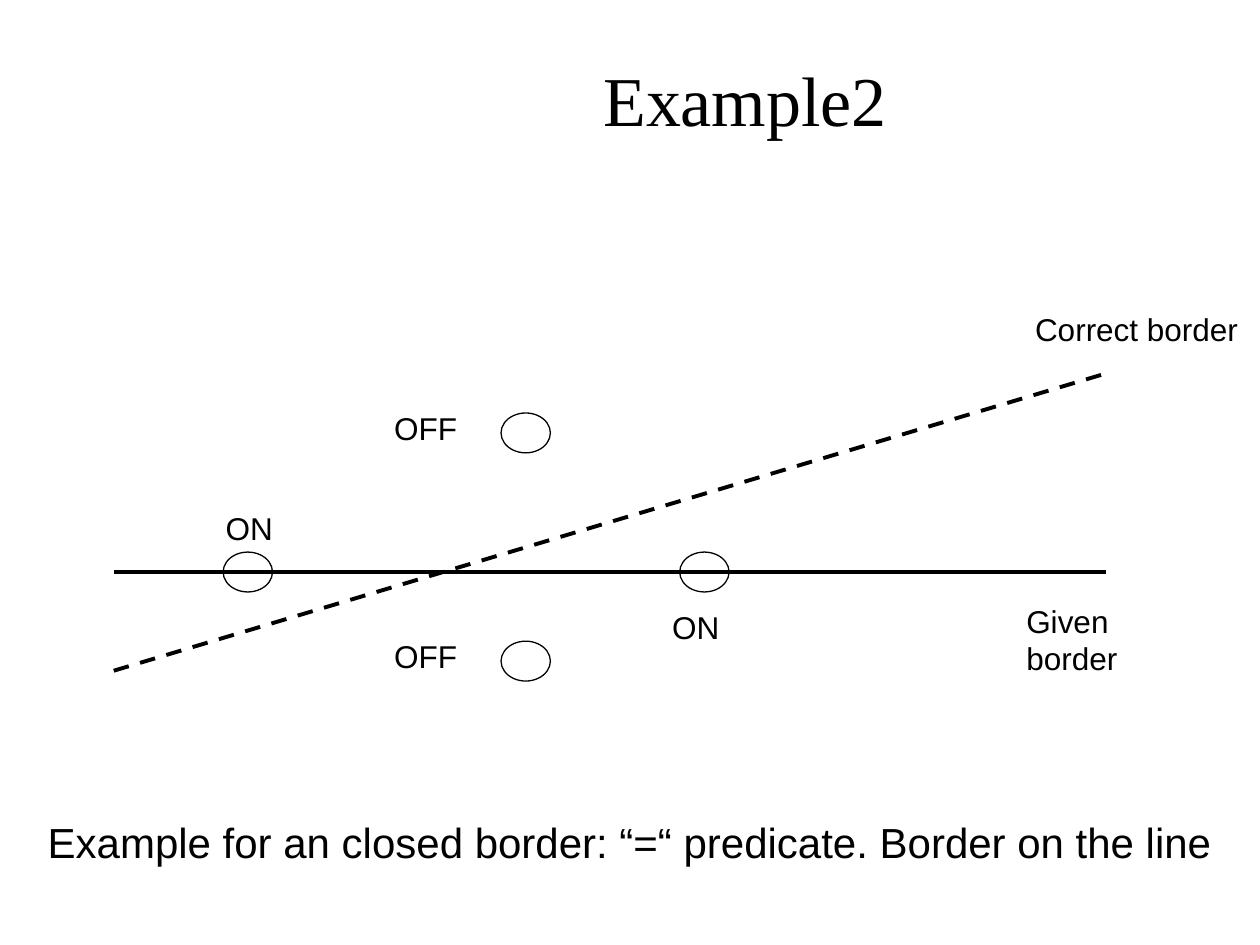
from dataclasses import dataclass

from lxml import etree
from pptx import Presentation
from pptx.dml.color import RGBColor
from pptx.enum import dml, shapes, text
from pptx.oxml import ns
from pptx.util import Pt


@dataclass(frozen=True)
class Theme:
    ink: RGBColor = RGBColor(0, 0, 0)
    paper: RGBColor = RGBColor(255, 255, 255)
    title_font: str = "Times New Roman"
    body_font: str = "Arial"
    title_size: float = 40
    label_size: float = 18
    caption_size: float = 24
    border_width: float = 2.25
    point_width: float = 0.75


@dataclass(frozen=True)
class Border:
    start: tuple[float, float]
    end: tuple[float, float]
    dashed: bool = False


@dataclass(frozen=True)
class TestPoint:
    left: float
    top: float


@dataclass(frozen=True)
class Label:
    wording: str
    left: float
    top: float
    width: float
    height: float = 28.8
    size: float = Theme.label_size
    wrap: bool = False


THEME = Theme()
POINT_WIDTH, POINT_HEIGHT = 28.2, 22.8
BORDER_LEFT, BORDER_RIGHT, GIVEN_Y = 65, 632, 326.9
ON_TOP = GIVEN_Y - POINT_HEIGHT / 2

BORDERS = [
    Border((BORDER_LEFT, GIVEN_Y), (BORDER_RIGHT, GIVEN_Y)),
    Border((BORDER_LEFT, 383.3), (BORDER_RIGHT, 213.4), dashed=True),
]
TEST_POINTS = [
    TestPoint(286.3, 236),
    TestPoint(286.3, 366.4),
    TestPoint(388.4, ON_TOP),
    TestPoint(127.5, ON_TOP),
]
LABELS = [
    Label("Given border", 579.4, 340.2, 118.1),
    Label("Correct border", 584.4, 173.8, 135.6),
    Label("OFF", 218.2, 230.3, 57.6, wrap=True),
    Label("OFF", 218.2, 360.7, 57.6, wrap=True),
    Label("ON", 121.8, 287.3, 46),
    Label("ON", 377, 343.8, 46),
    Label("Example for an closed border: “=“ predicate. Border on the line",
          20.2, 463, 686.2, 36, THEME.caption_size),
]


def write(paragraph, wording: str, font: str, size: float) -> None:
    run = paragraph.add_run()
    run.text = wording
    run.font.name = font
    run.font.size = Pt(size)
    run.font.color.rgb = THEME.ink


def draw_title(slide, wording: str) -> None:
    heading = slide.shapes.title
    heading.left, heading.top = Pt(195.8), Pt(20.2)
    heading.width, heading.height = Pt(460), Pt(72.7)
    heading.text_frame.vertical_anchor = text.MSO_ANCHOR.MIDDLE
    paragraph = heading.text_frame.paragraphs[0]
    paragraph.alignment = text.PP_ALIGN.CENTER
    write(paragraph, wording, THEME.title_font, THEME.title_size)


def draw_border(slide, border: Border) -> None:
    stroke = slide.shapes.add_connector(
        shapes.MSO_CONNECTOR.STRAIGHT, *map(Pt, border.start + border.end))
    stroke.line.color.rgb = THEME.ink
    stroke.line.width = Pt(THEME.border_width)
    if border.dashed:
        stroke.line.dash_style = dml.MSO_LINE.DASH
    etree.SubElement(stroke._element.spPr, ns.qn("a:effectLst"))


def draw_point(slide, point: TestPoint) -> None:
    ring = slide.shapes.add_shape(
        shapes.MSO_SHAPE.OVAL, Pt(point.left), Pt(point.top),
        Pt(POINT_WIDTH), Pt(POINT_HEIGHT))
    ring.shadow.inherit = False
    ring.fill.background()
    ring.line.color.rgb = THEME.ink
    ring.line.width = Pt(THEME.point_width)


def draw_label(slide, label: Label) -> None:
    frame = slide.shapes.add_textbox(
        Pt(label.left), Pt(label.top), Pt(label.width), Pt(label.height)).text_frame
    frame.word_wrap = label.wrap
    frame.auto_size = text.MSO_AUTO_SIZE.SHAPE_TO_FIT_TEXT
    write(frame.paragraphs[0], label.wording, THEME.body_font, label.size)


def main() -> None:
    deck = Presentation()
    deck.slide_width, deck.slide_height = Pt(720), Pt(540)
    slide = deck.slides.add_slide(deck.slide_layouts[5])
    slide.background.fill.solid()
    slide.background.fill.fore_color.rgb = THEME.paper
    draw_title(slide, "Example2")
    for border in BORDERS:
        draw_border(slide, border)
    for point in TEST_POINTS:
        draw_point(slide, point)
    for label in LABELS:
        draw_label(slide, label)
    deck.save("out.pptx")


if __name__ == "__main__":
    main()
